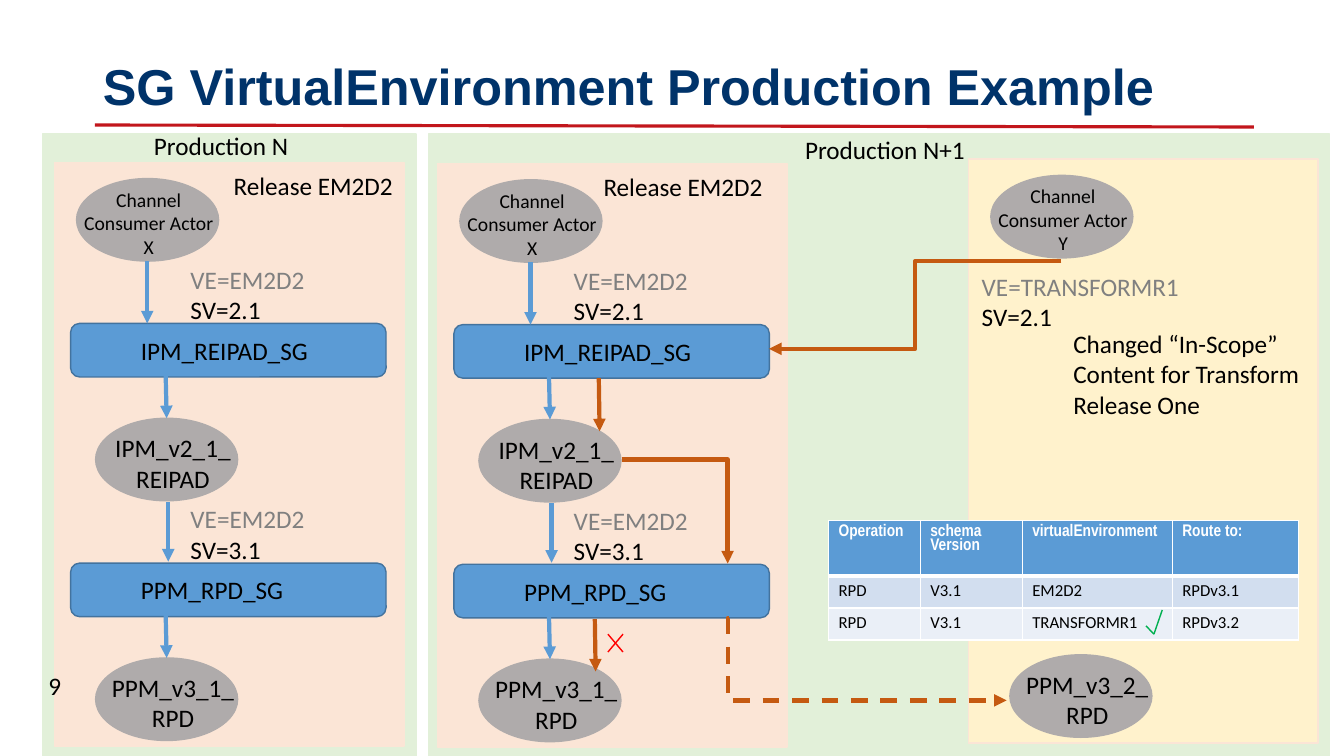
from dataclasses import dataclass

from lxml.etree import SubElement
from pptx import Presentation
from pptx.dml.color import RGBColor
from pptx.enum.dml import MSO_LINE
from pptx.enum.shapes import MSO_CONNECTOR, MSO_SHAPE
from pptx.enum.text import MSO_ANCHOR, MSO_AUTO_SIZE, PP_ALIGN
from pptx.oxml.ns import qn
from pptx.slide import Slide
from pptx.util import Cm, Pt

NAVY = RGBColor(0x00, 0x33, 0x6A)
CRIMSON = RGBColor(0xC2, 0x16, 0x1C)
PALE_GREEN = RGBColor(0xE2, 0xF0, 0xD9)
PEACH = RGBColor(0xFB, 0xE5, 0xD6)
CREAM = RGBColor(0xFF, 0xF2, 0xCC)
STONE = RGBColor(0xAF, 0xAB, 0xAB)
GRAY = RGBColor(0x80, 0x80, 0x80)
BLUE = RGBColor(0x5B, 0x9B, 0xD5)
DARK_BLUE = RGBColor(0x43, 0x73, 0x9E)
ORANGE = RGBColor(0xC5, 0x5A, 0x11)
RED = RGBColor(0xFF, 0x00, 0x00)
GREEN = RGBColor(0x00, 0xB0, 0x50)
BLACK = RGBColor(0x00, 0x00, 0x00)
WHITE = RGBColor(0xFF, 0xFF, 0xFF)
BAND_DARK = RGBColor(0xD2, 0xDE, 0xEF)
BAND_LIGHT = RGBColor(0xEA, 0xEF, 0xF7)

STAGE_STEP = 6.04  # vertical distance between the two gateway stages, cm


@dataclass
class Column:
    """A release panel, shifted in cm from the leftmost one."""
    dx: float
    dy: float
    actor: str
    fill: RGBColor = PEACH


@dataclass
class Stage:
    version: str
    gateway: str
    service: str
    arrow_x: float
    arrow_top: float
    arrow_bottom: float


@dataclass
class Link:
    start: tuple[float, float]
    end: tuple[float, float]
    color: RGBColor
    width: float = 3
    arrow: bool = True
    bend: int | None = None  # share of the way to the bend, in 1/100000
    dashed: bool = False


STAGES = [
    Stage("SV=2.1", "IPM_REIPAD_SG", "IPM_v2_1_ REIPAD", 3.71, 6.58, 8.15),
    Stage("SV=3.1", "PPM_RPD_SG", "PPM_v3_1_ RPD", 4.24, 12.65, 14.15),
]
RELEASES = [
    (Column(0, 0, "X"), 5.64),
    (Column(9.66, 0.03, "X"), 14.96),
]
TRANSFORM = Column(23.04, -0.08, "Y", CREAM)

LINKS = [
    Link((26.75, 6.58), (19.38, 8.79), ORANGE, bend=50000),
    Link((18.36, 15.57), (25.37, 17.65), ORANGE, bend=-200, dashed=True),
    Link((15.67, 11.58), (18.34, 14.2), ORANGE, bend=99900),
    Link((15.09, 9.53), (15.11, 10.87), ORANGE),
    Link((14.99, 15.6), (15.01, 16.92), ORANGE),
    Link((15.32, 16.43), (15.7, 15.98), RED, 1, False),
    Link((15.7, 16.43), (15.32, 15.98), RED, 1, False),
    Link((28.88, 15.77), (29.08, 15.98), GREEN, 1, False),
    Link((29.08, 15.98), (29.29, 15.37), GREEN, 1, False),
]

ROUTES = [
    ["Operation", "schema\nVersion", "virtualEnvironment", "Route to:"],
    ["RPD", "V3.1", "EM2D2", "RPDv3.1"],
    ["RPD", "V3.1", "TRANSFORMR1", "RPDv3.2"],
]


def add_block(slide: Slide, kind: MSO_SHAPE, left: float, top: float, width: float,
              height: float, fill: RGBColor, outline: RGBColor) -> None:
    shape = slide.shapes.add_shape(kind, Cm(left), Cm(top), Cm(width), Cm(height))
    shape.shadow.inherit = False
    shape.fill.solid()
    shape.fill.fore_color.rgb = fill
    shape.line.color.rgb = outline
    shape.line.width = Pt(1)


def add_label(slide: Slide, left: float, top: float, width: float, height: float,
              *lines: tuple[str, RGBColor], size: int = 18,
              align: PP_ALIGN = PP_ALIGN.LEFT) -> None:
    box = slide.shapes.add_textbox(Cm(left), Cm(top), Cm(width), Cm(height))
    frame = box.text_frame
    frame.word_wrap = True
    frame.auto_size = MSO_AUTO_SIZE.SHAPE_TO_FIT_TEXT
    frame.text = "\n".join(text for text, _ in lines)
    for para, (_, color) in zip(frame.paragraphs, lines):
        para.alignment = align
        para.font.name = "Calibri"
        para.font.size = Pt(size)
        para.font.color.rgb = color


def add_link(slide: Slide, link: Link) -> None:
    kind = MSO_CONNECTOR.STRAIGHT if link.bend is None else MSO_CONNECTOR.ELBOW
    connector = slide.shapes.add_connector(
        kind, *(Cm(value) for value in link.start + link.end))
    connector.line.color.rgb = link.color
    connector.line.width = Pt(link.width)
    if link.dashed:
        connector.line.dash_style = MSO_LINE.DASH
    properties = connector.element.spPr
    if link.arrow:
        SubElement(properties.find(qn("a:ln")), qn("a:tailEnd"), type="triangle")
    if link.bend is not None:
        guides = properties.find(qn("a:prstGeom")).get_or_add_avLst()
        SubElement(guides, qn("a:gd"), name="adj1", fmla=f"val {link.bend}")
    SubElement(properties, qn("a:effectLst"))


def add_ellipse(slide: Slide, left: float, top: float) -> None:
    add_block(slide, MSO_SHAPE.OVAL, left, top, 3.58, 2.08, STONE, STONE)


def add_service(slide: Slide, column: Column, shift: float, name: str) -> None:
    x, y = column.dx, column.dy + shift
    add_ellipse(slide, x + 2.41, y + 10.54)
    add_label(slide, x + 2.34, y + 10.78, 4.04, 1.8, (name, BLACK), align=PP_ALIGN.CENTER)


def add_panel(slide: Slide, column: Column) -> None:
    """Draw a panel's background and its consumer actor."""
    x, y = column.dx, column.dy
    add_block(slide, MSO_SHAPE.RECTANGLE, x + 1.37, y + 4.09, 8.81, 14.71, column.fill, PEACH)
    add_ellipse(slide, x + 1.93, y + 4.5)
    add_label(slide, x + 1.73, y + 4.6, 4.04, 2.06,
              (f"Channel Consumer Actor {column.actor}", BLACK),
              size=14, align=PP_ALIGN.CENTER)


def add_release(slide: Slide, column: Column, heading_left: float) -> None:
    add_panel(slide, column)
    add_label(slide, heading_left, column.dy + 4.17, 4.9, 1.02, ("Release EM2D2", BLACK))
    for number, stage in enumerate(STAGES):
        shift = number * STAGE_STEP
        x, y = column.dx, column.dy + shift
        add_label(slide, x + 4.55, y + 6.53, 4.04, 1.8,
                  ("VE=EM2D2", GRAY), (stage.version, BLACK))
        add_block(slide, MSO_SHAPE.ROUNDED_RECTANGLE, x + 1.78, y + 8.15, 7.95, 1.35,
                  BLUE, DARK_BLUE)
        add_label(slide, x + 3.3, y + 8.32, 4.9, 1.02, (stage.gateway, BLACK))
        add_service(slide, column, shift, stage.service)
        add_link(slide, Link((x + stage.arrow_x, column.dy + stage.arrow_top),
                             (x + stage.arrow_x, column.dy + stage.arrow_bottom), BLUE))
        add_link(slide, Link((x + 4.17, y + 9.22), (x + 4.2, y + 10.54), BLUE))


def add_routes(slide: Slide) -> None:
    table = slide.shapes.add_table(3, 4, Cm(20.88), Cm(13.11), Cm(11.84), Cm(3.02)).table
    for column, width in zip(table.columns, (2.31, 2.57, 3.78, 3.18)):
        column.width = Cm(width)
    for row, height in zip(table.rows, (1.4, 0.81, 0.81)):
        row.height = Cm(height)
    for row_number, fill in enumerate((BLUE, BAND_DARK, BAND_LIGHT)):
        header = row_number == 0
        for column_number, text in enumerate(ROUTES[row_number]):
            cell = table.cell(row_number, column_number)
            cell.text = text
            for para in cell.text_frame.paragraphs:
                para.line_spacing = 0.9 if header else 1.0
                para.font.name = "Arial Narrow" if header else "Calibri"
                para.font.size = Pt(12)
                para.font.bold = header
                para.font.color.rgb = WHITE if header else BLACK
            properties = cell._tc.get_or_add_tcPr()
            for side in ("lnL", "lnR", "lnT", "lnB"):
                heavy = (header and side == "lnB") or (row_number == 1 and side == "lnT")
                border = SubElement(properties, qn(f"a:{side}"), w=str(Pt(3 if heavy else 1)))
                SubElement(SubElement(border, qn("a:solidFill")), qn("a:srgbClr"), val=str(WHITE))
            cell.fill.solid()
            cell.fill.fore_color.rgb = fill


def add_title(slide: Slide) -> None:
    title = slide.shapes.title
    title.left, title.top, title.width, title.height = Cm(2.34), Cm(1.19), Cm(29.21), Cm(2.13)
    title.text_frame.text = "SG VirtualEnvironment Production Example"
    title.text_frame.vertical_anchor = MSO_ANCHOR.MIDDLE
    para = title.text_frame.paragraphs[0]
    para.alignment = PP_ALIGN.LEFT
    para.line_spacing = 0.9
    para.font.name = "Arial"
    para.font.size = Pt(36)
    para.font.bold = True
    para.font.color.rgb = NAVY
    add_link(slide, Link((2.39, 3.15), (31.6, 3.2), CRIMSON, 2.25, False))


def main() -> None:
    deck = Presentation()
    deck.slide_width, deck.slide_height = Cm(33.87), Cm(19.05)
    slide = deck.slides.add_slide(deck.slide_layouts[5])
    add_title(slide)
    for left, width in ((1.07, 9.42), (10.8, 22.71)):
        add_block(slide, MSO_SHAPE.RECTANGLE, left, 3.38, width, 15.67, PALE_GREEN, PALE_GREEN)
    add_label(slide, 3.63, 3.15, 4.9, 1.02, ("Production N", BLACK))
    add_label(slide, 20.04, 3.25, 4.9, 1.02, ("Production N+1", BLACK))
    for column, heading_left in RELEASES:
        add_release(slide, column, heading_left)
    add_panel(slide, TRANSFORM)
    add_service(slide, TRANSFORM, STAGE_STEP, "PPM_v3_2_ RPD")
    add_label(slide, 24.49, 6.71, 6.5, 1.8, ("VE=TRANSFORMR1", GRAY), ("SV=2.1", BLACK))
    add_label(slide, 26.8, 8.15, 7.34, 2.57,
              ("Changed “In-Scope” Content for Transform Release One", BLACK))
    add_label(slide, 0.97, 16.76, 5.92, 1.45, ("9", BLACK))
    add_routes(slide)
    for link in LINKS:
        add_link(slide, link)
    deck.save("out.pptx")


if __name__ == "__main__":
    main()
